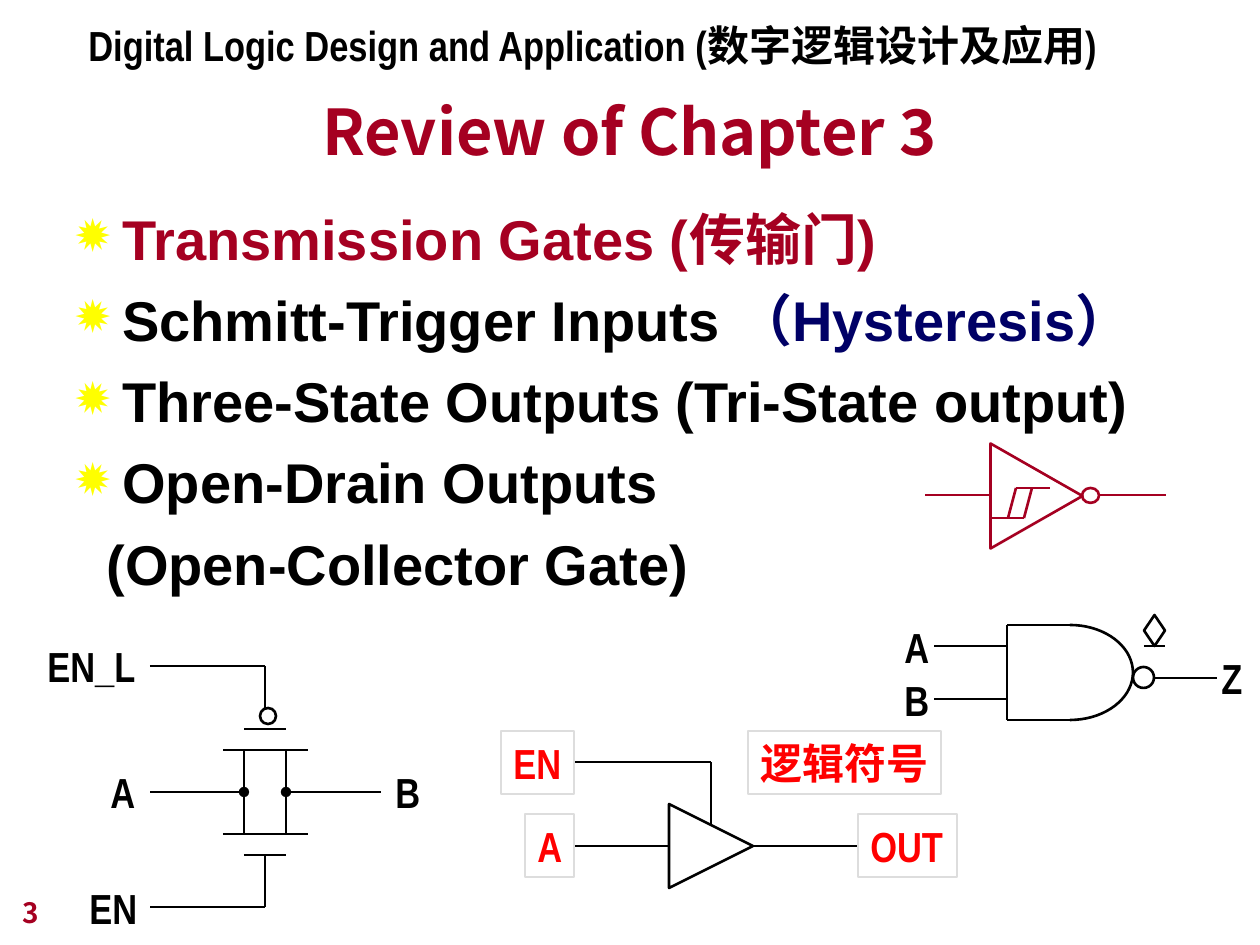
"""Build the chapter review slide with its four gate diagrams."""
from dataclasses import dataclass
from math import cos, pi, sin
from typing import NamedTuple

from lxml import etree
from pptx import Presentation
from pptx.dml.color import RGBColor
from pptx.enum.shapes import MSO_CONNECTOR, MSO_SHAPE
from pptx.enum.text import MSO_ANCHOR, MSO_AUTO_SIZE, PP_ALIGN
from pptx.oxml.ns import qn
from pptx.util import Emu, Pt

STRAIGHT = MSO_CONNECTOR.STRAIGHT
ELLIPSE, TRIANGLE, DIAMOND = MSO_SHAPE.OVAL, MSO_SHAPE.ISOSCELES_TRIANGLE, MSO_SHAPE.DIAMOND
TOP, BOTTOM = MSO_ANCHOR.TOP, MSO_ANCHOR.BOTTOM
FIT_SHAPE, FIXED_SIZE = MSO_AUTO_SIZE.SHAPE_TO_FIT_TEXT, MSO_AUTO_SIZE.NONE
LEFT, CENTER = PP_ALIGN.LEFT, PP_ALIGN.CENTER
PIXELS_PER_INCH = 126
LABEL_HEIGHT = 63


@dataclass(frozen=True)
class Theme:
    black: str = "000000"
    crimson: str = "A50021"
    navy: str = "000066"
    red: str = "FF0000"
    yellow: str = "FFFF00"
    box_edge: str = "DDDDDD"
    heading_font: str = "Noto Sans CJK JP"
    body_font: str = "Arial"
    label_font: str = "Arial Narrow"
    title_size: int = 36
    body_size: int = 32
    label_size: int = 24
    number_size: int = 16
    bullet_percent: int = 105
    body_gap: int = 8
    stroke: float = 1.5
    thin: float = 0.75


THEME = Theme()


class Wire(NamedTuple):
    x1: int
    y1: int
    x2: int
    y2: int
    dot: bool = False


class Symbol(NamedTuple):
    kind: int
    x: int
    y: int
    width: int
    height: int
    rotation: int = 0


class Label(NamedTuple):
    text: str
    x: int
    y: int
    width: int


@dataclass(frozen=True)
class Circuit:
    wires: list[Wire]
    symbols: list[Symbol]
    labels: list[Label]
    color: str = THEME.black
    label_color: str = THEME.black
    boxed: bool = False


TRANSMISSION_GATE = Circuit(
    [Wire(286, 729, 244, 729), Wire(308, 750, 223, 750), Wire(286, 750, 286, 834),
     Wire(244, 750, 244, 834), Wire(150, 666, 265, 666), Wire(265, 666, 265, 708),
     Wire(265, 907, 265, 855), Wire(244, 855, 286, 855), Wire(223, 834, 308, 834),
     Wire(286, 792, 381, 792, True), Wire(265, 907, 150, 907), Wire(244, 792, 150, 792, True)],
    [Symbol(ELLIPSE, 260, 708, 16, 16)],
    [Label("EN", 77, 876, 73), Label("EN_L", 35, 634, 113), Label("A", 98, 760, 49),
     Label("B", 383, 760, 49)])
SCHMITT_INVERTER = Circuit(
    [Wire(1099, 495, 1166, 495), Wire(1016, 488, 1050, 488), Wire(1016, 488, 1008, 518),
     Wire(1032, 488, 1024, 518), Wire(990, 518, 1024, 518), Wire(990, 495, 925, 495)],
    [Symbol(TRIANGLE, 984, 450, 105, 92, 90), Symbol(ELLIPSE, 1082, 488, 17, 15)],
    [], color=THEME.crimson)
THREE_STATE_BUFFER = Circuit(
    [Wire(753, 846, 858, 846), Wire(669, 846, 575, 846), Wire(711, 825, 711, 762),
     Wire(711, 762, 575, 762)],
    [Symbol(TRIANGLE, 669, 804, 84, 84, 90)],
    [Label("A", 525, 814, 49), Label("EN", 501, 731, 73), Label("OUT", 858, 814, 99),
     Label("逻辑符号", 748, 731, 193)], label_color=THEME.red, boxed=True)
OPEN_DRAIN_NAND = Circuit(
    [Wire(1070, 625, 1007, 625), Wire(1070, 720, 1007, 720), Wire(1007, 625, 1007, 720),
     Wire(1154, 678, 1217, 678), Wire(1007, 646, 934, 646), Wire(1007, 699, 934, 699),
     Wire(1144, 646, 1165, 646)],
    [Symbol(ELLIPSE, 1133, 667, 21, 21), Symbol(DIAMOND, 1144, 615, 21, 31)],
    [Label("A", 892, 615, 49), Label("B", 892, 668, 49), Label("Z", 1209, 646, 45)])

BODY = [
    [("Transmission Gates (传输门)", THEME.crimson)],
    [("Schmitt-Trigger Inputs ", THEME.black), ("（Hysteresis）", THEME.navy)],
    [("Three-State Outputs (Tri-State output)", THEME.black)],
    [("Open-Drain Outputs", THEME.black)],
    [("(Open-Collector Gate)", THEME.black)],
]


def px(value: float) -> Emu:
    return Emu(round(value * 914400 / PIXELS_PER_INCH))


def rgb(color: str) -> RGBColor:
    return RGBColor.from_string(color)


def add_run(paragraph, text: str, *, font: str, size: int, color: str) -> None:
    run = paragraph.add_run()
    run.text = text
    run.font.name, run.font.size, run.font.bold = font, Pt(size), True
    run.font.color.rgb = rgb(color)


def add_text(shapes, text: str, x: int, y: int, width: int, height: int, *, font: str,
             size: int, color: str, align=LEFT, anchor=TOP, wrap: bool = True):
    box = shapes.add_textbox(px(x), px(y), px(width), px(height))
    frame = box.text_frame
    frame.word_wrap, frame.vertical_anchor = wrap, anchor
    frame.auto_size = FIXED_SIZE if wrap else FIT_SHAPE
    frame.paragraphs[0].alignment = align
    if text:
        add_run(frame.paragraphs[0], text, font=font, size=size, color=color)
    return box


def set_indent(paragraph, left: int, bullet: bool) -> None:
    properties = paragraph._p.get_or_add_pPr()
    properties.set("marL", str(px(left)))
    properties.set("indent", str(-px(left) if bullet else 0))
    if bullet:
        color = etree.SubElement(properties, qn("a:buClr"))
        etree.SubElement(color, qn("a:srgbClr"), val=THEME.yellow)
        etree.SubElement(properties, qn("a:buSzPct"), val=str(THEME.bullet_percent * 1000))
        etree.SubElement(properties, qn("a:buChar"), char="✹")


def add_body(shapes) -> None:
    style = {"font": THEME.body_font, "size": THEME.body_size}
    frame = add_text(shapes, "", 63, 198, 1134, 672, color=THEME.black, **style).text_frame
    for index, pieces in enumerate(BODY):
        paragraph = frame.add_paragraph() if index else frame.paragraphs[0]
        bullet = index < len(BODY) - 1
        set_indent(paragraph, 47 if bullet else 31, bullet)
        if index:
            paragraph.space_before = Pt(THEME.body_gap)
        for text, color in pieces:
            add_run(paragraph, text, color=color, **style)


def outline(shape, color: str, width: float) -> None:
    shape.line.color.rgb, shape.line.width = rgb(color), Pt(width)


def add_wire(shapes, wire: Wire, color: str) -> None:
    line = shapes.add_connector(STRAIGHT, px(wire.x1), px(wire.y1), px(wire.x2), px(wire.y2))
    outline(line, color, THEME.stroke)
    if wire.dot:
        etree.SubElement(line.line._get_or_add_ln(), qn("a:headEnd"), type="oval")
    etree.SubElement(line._element.spPr, qn("a:effectLst"))


def add_symbol(shapes, symbol: Symbol, color: str) -> None:
    shape = shapes.add_shape(symbol.kind, *map(px, symbol[1:5]))
    shape.rotation, shape.shadow.inherit = symbol.rotation, False
    shape.fill.background()
    outline(shape, color, THEME.stroke)


def add_gate_curve(shapes, x: int, y: float, radius_x: int, radius_y: float) -> None:
    angles = [-pi / 2 + pi * step / 36 for step in range(37)]
    points = [(px(x + radius_x * cos(angle)), px(y + radius_y * sin(angle))) for angle in angles]
    builder = shapes.build_freeform(*points[0])
    builder.add_line_segments(points[1:], close=False)
    curve = builder.convert_to_shape()
    curve.shadow.inherit = False
    curve.fill.background()
    outline(curve, THEME.black, THEME.stroke)


def add_circuit(slide, circuit: Circuit):
    shapes = slide.shapes.add_group_shape().shapes
    for wire in circuit.wires:
        add_wire(shapes, wire, circuit.color)
    for symbol in circuit.symbols:
        add_symbol(shapes, symbol, circuit.color)
    for label in circuit.labels:
        box = add_text(shapes, *label, LABEL_HEIGHT, font=THEME.label_font,
                       size=THEME.label_size, color=circuit.label_color, wrap=False)
        if circuit.boxed:
            outline(box, THEME.box_edge, THEME.thin)
    return shapes


def main() -> None:
    presentation = Presentation()
    presentation.slide_width, presentation.slide_height = px(1260), px(945)
    slide = presentation.slides.add_slide(presentation.slide_layouts[6])
    heading = {"font": THEME.heading_font, "color": THEME.crimson, "anchor": BOTTOM}
    add_text(slide.shapes, "3", 10, 872, 262, 63, size=THEME.number_size, **heading)
    add_text(slide.shapes, "Review of Chapter 3", 94, 69, 1071, 105,
             size=THEME.title_size, align=CENTER, **heading)
    add_body(slide.shapes)
    for circuit in (TRANSMISSION_GATE, SCHMITT_INVERTER, THREE_STATE_BUFFER):
        add_circuit(slide, circuit)
    add_gate_curve(add_circuit(slide, OPEN_DRAIN_NAND), 1070, 672.5, 63, 47.5)
    add_text(slide.shapes, "Digital Logic Design and Application (数字逻辑设计及应用)",
             76, 13, 1060, LABEL_HEIGHT, font=THEME.label_font, size=THEME.label_size,
             color=THEME.black)
    presentation.save("out.pptx")


if __name__ == "__main__":
    main()
